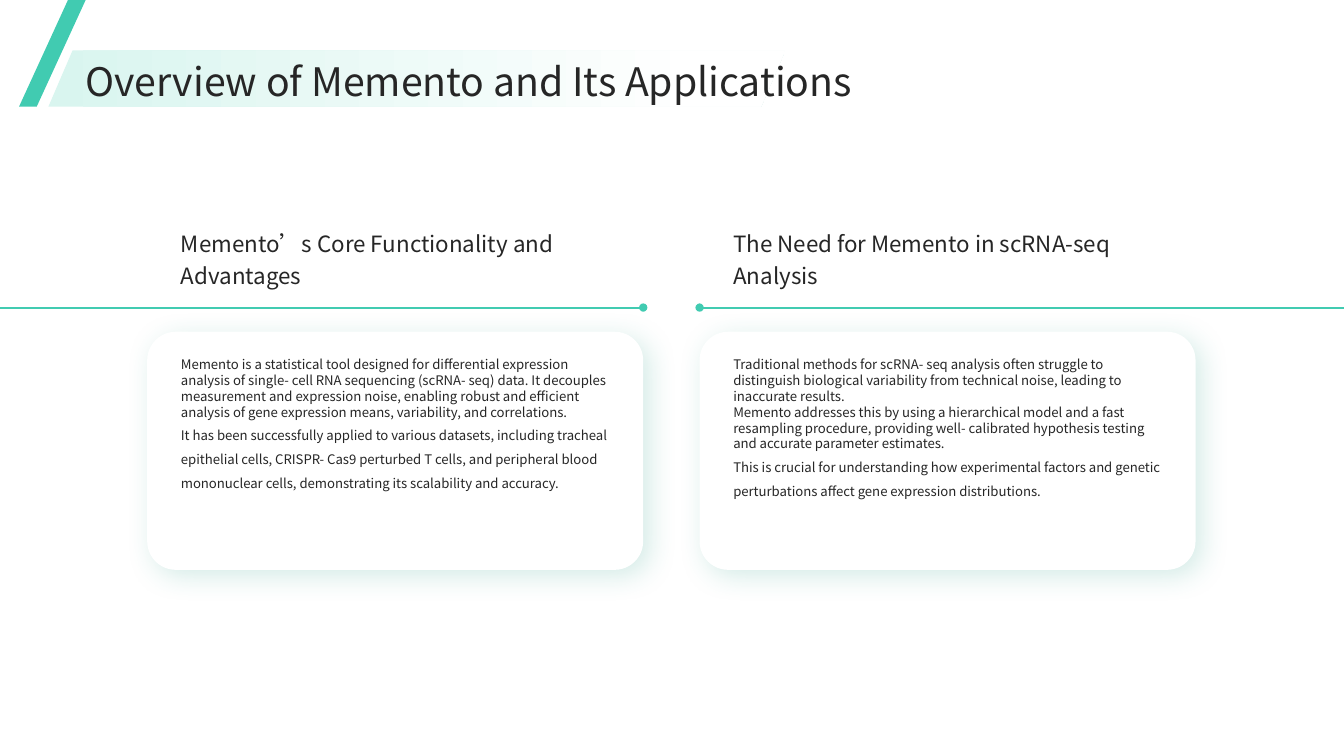
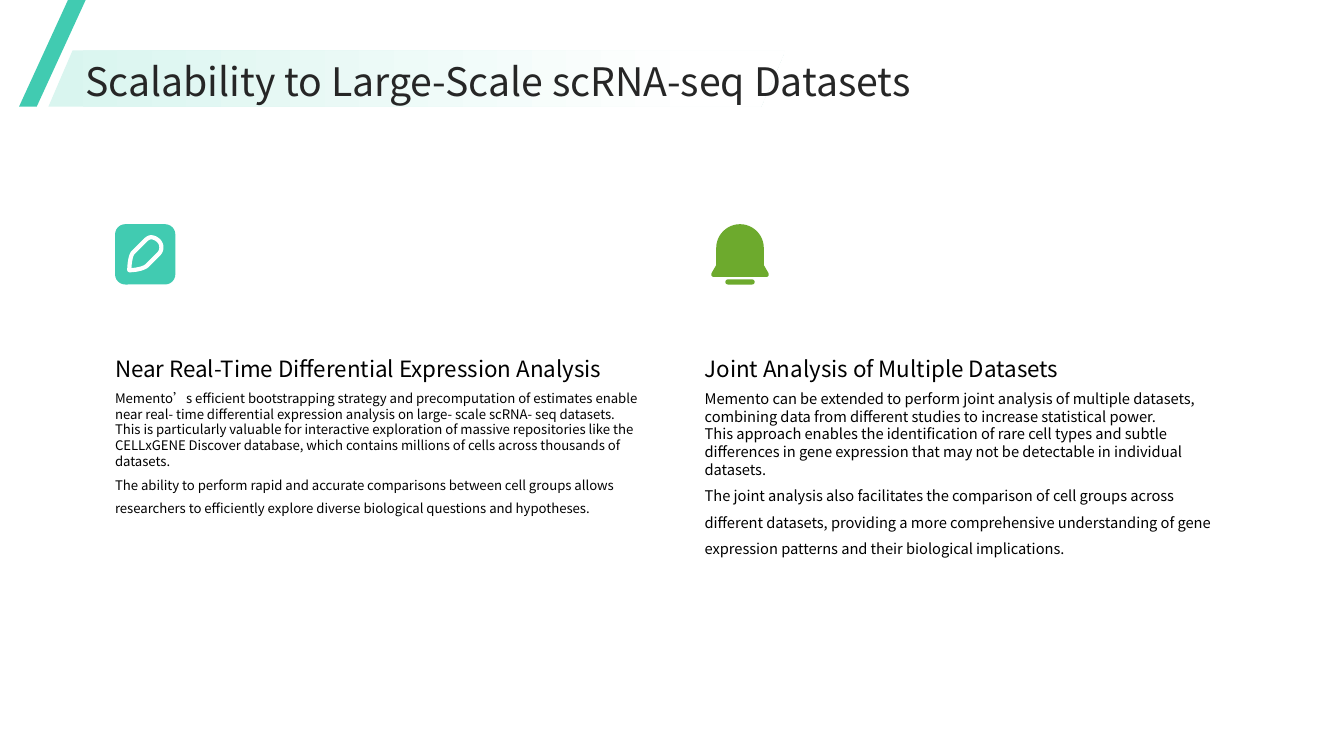
from lxml import etree
from pptx import Presentation
from pptx.dml.color import RGBColor
from pptx.enum.shapes import MSO_CONNECTOR, MSO_SHAPE
from pptx.enum.text import MSO_ANCHOR, MSO_AUTO_SIZE, PP_ALIGN
from pptx.oxml.ns import qn
from pptx.util import Cm, Pt

ROUNDED = MSO_SHAPE.ROUNDED_RECTANGLE
SLANTED = MSO_SHAPE.PARALLELOGRAM
STRAIGHT = MSO_CONNECTOR.STRAIGHT
TOP, MIDDLE, BOTTOM = MSO_ANCHOR.TOP, MSO_ANCHOR.MIDDLE, MSO_ANCHOR.BOTTOM
LEFT = PP_ALIGN.LEFT
NO_FIT = MSO_AUTO_SIZE.NONE

FONT = "Noto Sans CJK SC"
TEAL, MINT, SHADOW = "41CBB1", "D9F5EF", "2B9E88"
GREEN, WHITE, INK, BLACK = "6DAA2D", "FFFFFF", "262626", "000000"
WIDTH, HEIGHT = 33.87, 19.05

# Icon outlines in cm: a start point, then lines (x, y) and Bezier curves (three points in a row)
PENCIL = [(0.36, 1.16), (0.36, 1.02, 0.39, 0.77, 0.46, 0.71), (0.75, 0.42),
          (0.8, 0.37, 0.85, 0.33, 0.91, 0.33), (0.98, 0.33, 1.05, 0.37, 1.1, 0.42),
          (1.19, 0.51, 1.19, 0.66, 1.1, 0.75), (0.8, 1.05),
          (0.72, 1.12, 0.51, 1.16, 0.36, 1.16)]
BELL = [(0.13, 0.6), (0.13, 0.27, 0.4, 0, 0.73, 0), (1.06, 0, 1.33, 0.27, 1.33, 0.6),
        (1.33, 1.03), (1.44, 1.22), (1.47, 1.27, 1.45, 1.33, 1.39, 1.33), (0.07, 1.33),
        (0.01, 1.33, -0.01, 1.27, 0.02, 1.22), (0.13, 1.03)]


def rgb(color):
    return RGBColor.from_string(color)


def add_xml(parent, tag, **attrs):
    return etree.SubElement(parent, qn(tag), attrs)


def flatten(outline, steps=12):
    """Turn an outline of lines and Bezier curves into a list of points."""
    points = [outline[0]]
    for seg in outline[1:]:
        if len(seg) == 2:
            points.append(seg)
            continue
        ends = [points[-1], seg[:2], seg[2:4], seg[4:]]
        for i in range(1, steps + 1):
            t = i / steps
            weights = ((1 - t) ** 3, 3 * t * (1 - t) ** 2, 3 * t * t * (1 - t), t ** 3)
            points.append(tuple(sum(w * e[k] for w, e in zip(weights, ends)) for k in (0, 1)))
    return points


class Deck:
    """Holds the style and the current slide."""

    def __init__(self):
        self.prs = Presentation()
        self.prs.slide_width, self.prs.slide_height = Cm(WIDTH), Cm(HEIGHT)
        self.s = None

    def slide(self, title):
        self.s = self.prs.slides.add_slide(self.prs.slide_layouts[5])
        band = self.shape(SLANTED, 1.22, 1.27, 18.57, 1.42, MINT, 0.43)
        band.fill.gradient()
        band.fill.gradient_angle = 0
        for stop, color, pos in zip(band.fill.gradient_stops, (MINT, WHITE), (0, 0.89)):
            stop.color.rgb, stop.position = rgb(color), pos
        sp = self.s.shapes.title
        sp.left, sp.top, sp.width, sp.height = Cm(2.16), Cm(1.32), Cm(29.85), Cm(1.3)
        self.fill_frame(sp.text_frame, [title], 28, INK, 1.1, MIDDLE)
        band._element.addnext(sp._element)  # title in front of its band
        self.shape(SLANTED, 0.48, 0, 1.68, 2.69, TEAL, 0.735)

    def shape(self, kind, x, y, w, h, color, adj):
        sp = self.s.shapes.add_shape(kind, Cm(x), Cm(y), Cm(w), Cm(h))
        sp.adjustments[0] = adj
        return self.paint(sp, color)

    def paint(self, sp, color):
        sp.shadow.inherit = False
        sp.fill.solid()
        sp.fill.fore_color.rgb = rgb(color)
        sp.line.fill.background()
        return sp

    def card(self, x, y, w, h):
        sp = self.shape(ROUNDED, x, y, w, h, WHITE, 0.12)
        effects = sp._element.spPr.find(qn("a:effectLst"))
        shadow = add_xml(effects, "a:outerShdw", blurRad=str(Pt(20)), dist=str(Pt(6)),
                         dir=str(45 * 60000), algn="tl", rotWithShape="0")
        color = add_xml(shadow, "a:srgbClr", val=SHADOW)
        add_xml(color, "a:alpha", val="20000")

    def rule(self, x1, x2, y):
        """Draw a level line with a dot at x2."""
        line = self.s.shapes.add_connector(STRAIGHT, Cm(x1), Cm(y), Cm(x2), Cm(y))
        line.line.color.rgb, line.line.width = rgb(TEAL), Pt(1.5)
        props = line._element.spPr
        add_xml(props.find(qn("a:ln")), "a:tailEnd", type="oval")
        add_xml(props, "a:effectLst")

    def outline(self, points, x, y, color):
        emu = [(Cm(x + px), Cm(y + py)) for px, py in flatten(points)]
        builder = self.s.shapes.build_freeform(*emu[0])
        builder.add_line_segments(emu[1:], close=True)
        return self.paint(builder.convert_to_shape(), color)

    def pencil(self, x, y):
        self.shape(ROUNDED, x, y, 1.52, 1.52, TEAL, 0.17)
        sp = self.outline(PENCIL, x, y, TEAL)
        sp.line.color.rgb, sp.line.width = rgb(WHITE), Pt(3)

    def bell(self, x, y):
        self.outline(BELL, x, y, GREEN)
        self.shape(ROUNDED, x + 0.36, y + 1.39, 0.74, 0.13, GREEN, 0.5)

    def heading(self, x, y, w, h, text, color, spacing):
        self.text(x, y, w, h, [text], 16, color, spacing, BOTTOM)

    def text(self, x, y, w, h, texts, size, color, spacing=1.5, anchor=TOP):
        box = self.s.shapes.add_textbox(Cm(x), Cm(y), Cm(w), Cm(h))
        self.fill_frame(box.text_frame, texts, size, color, spacing, anchor)

    def fill_frame(self, tf, texts, size, color, spacing, anchor):
        """Fill a frame; only the last paragraph gets the wider line spacing."""
        tf.word_wrap, tf.auto_size, tf.vertical_anchor = True, NO_FIT, anchor
        tf.margin_left = tf.margin_top = tf.margin_right = tf.margin_bottom = 0
        for i, text in enumerate(texts):
            p = tf.add_paragraph() if i else tf.paragraphs[0]
            p.text = text
            p.alignment = LEFT
            p.line_spacing = spacing if i == len(texts) - 1 else 1.0
            p.font.name, p.font.size, p.font.color.rgb = FONT, Pt(size), rgb(color)
            add_xml(p._p.pPr.find(qn("a:defRPr")), "a:ea", typeface=FONT)


OVERVIEW = [
    ("Memento’s Core Functionality and Advantages", [
        "Memento is a statistical tool designed for differential expression analysis of single- "
        "cell RNA sequencing (scRNA- seq) data. It decouples measurement and expression noise, "
        "enabling robust and efficient analysis of gene expression means, variability, and "
        "correlations.",
        "It has been successfully applied to various datasets, including tracheal epithelial "
        "cells, CRISPR- Cas9 perturbed T cells, and peripheral blood mononuclear cells, "
        "demonstrating its scalability and accuracy."]),
    ("The Need for Memento in scRNA-seq Analysis", [
        "Traditional methods for scRNA- seq analysis often struggle to distinguish biological "
        "variability from technical noise, leading to inaccurate results.",
        "Memento addresses this by using a hierarchical model and a fast resampling procedure, "
        "providing well- calibrated hypothesis testing and accurate parameter estimates.",
        "This is crucial for understanding how experimental factors and genetic perturbations "
        "affect gene expression distributions."]),
]
SCALABILITY = [
    ("Near Real-Time Differential Expression Analysis", 9.4, [
        "Memento’s efficient bootstrapping strategy and precomputation of estimates enable near "
        "real- time differential expression analysis on large- scale scRNA- seq datasets.",
        "This is particularly valuable for interactive exploration of massive repositories like "
        "the CELLxGENE Discover database, which contains millions of cells across thousands of "
        "datasets.",
        "The ability to perform rapid and accurate comparisons between cell groups allows "
        "researchers to efficiently explore diverse biological questions and hypotheses."]),
    ("Joint Analysis of Multiple Datasets", 10.5, [
        "Memento can be extended to perform joint analysis of multiple datasets, combining data "
        "from different studies to increase statistical power.",
        "This approach enables the identification of rare cell types and subtle differences in "
        "gene expression that may not be detectable in individual datasets.",
        "The joint analysis also facilitates the comparison of cell groups across different "
        "datasets, providing a more comprehensive understanding of gene expression patterns and "
        "their biological implications."]),
]


def overview_slide(deck):
    deck.slide("Overview of Memento and Its Applications")
    left, step, card_w, pad = 3.71, 13.92, 12.5, 0.85
    for i, (heading, body) in enumerate(OVERVIEW):
        x = left + i * step
        text_w = card_w - 2 * pad
        deck.heading(x + pad, 5, text_w, 2.29, heading, INK, 1.2)
        deck.card(x, 8.36, card_w, 6)
        deck.text(x + pad, 8.99, text_w, 4.75, body, 9.4, INK)
    deck.rule(0, left + card_w, 7.75)
    deck.rule(WIDTH, left + step, 7.75)


def scalability_slide(deck):
    deck.slide("Scalability to Large-Scale scRNA-seq Datasets")
    left, step, text_w = 2.9, 14.86, 13.18
    deck.pencil(left, 5.65)
    deck.bell(left + step + 0.16, 5.65)
    for i, (heading, size, body) in enumerate(SCALABILITY):
        x = left + i * step
        deck.heading(x, 7.54, text_w, 2.08, heading, BLACK, 1.3)
        deck.text(x, 9.83, text_w, 4.7, body, size, BLACK)


def main():
    deck = Deck()
    overview_slide(deck)
    scalability_slide(deck)
    deck.prs.save("out.pptx")


if __name__ == "__main__":
    main()
